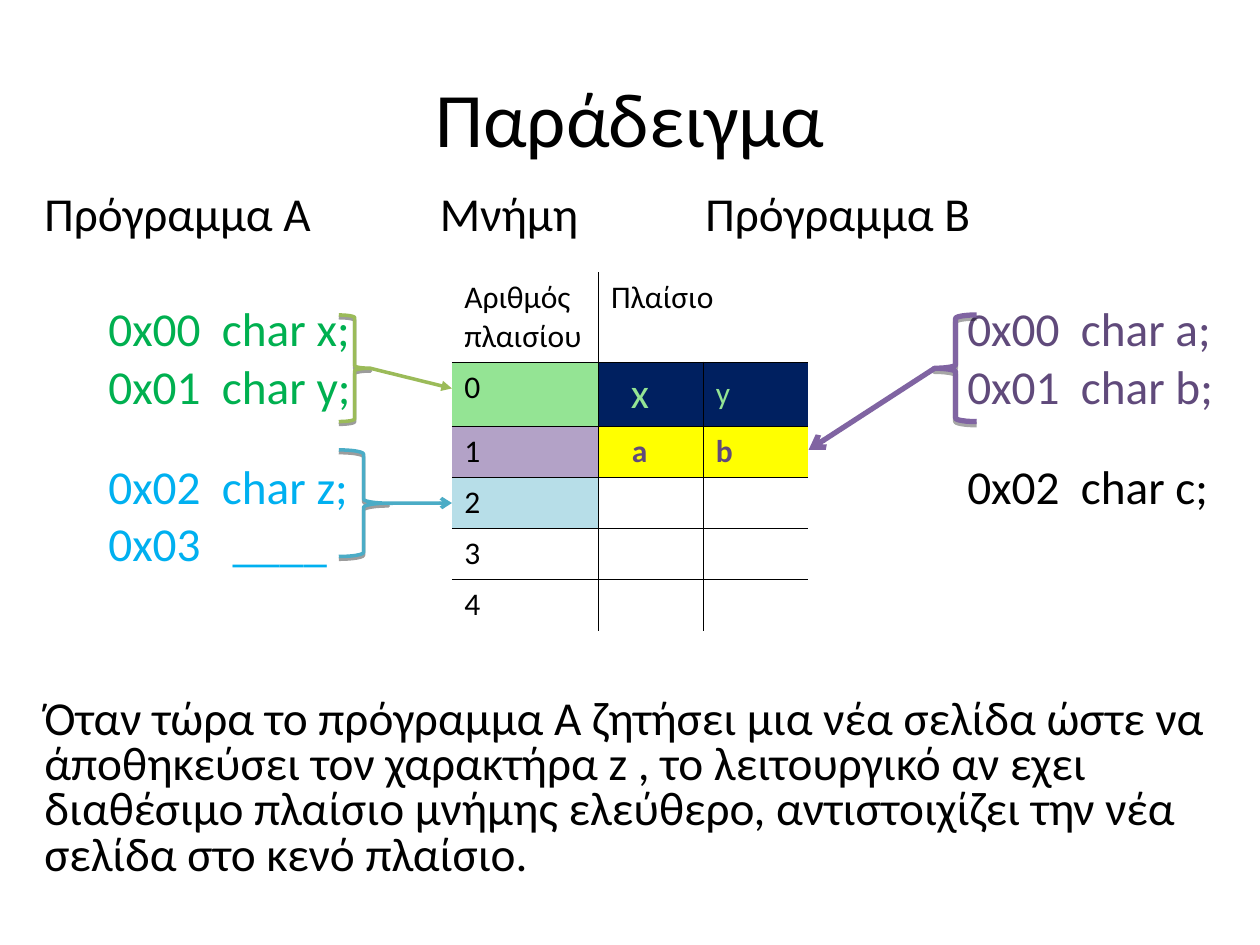
import pptx
import pptx.dml.color
import pptx.enum.shapes
import pptx.enum.text
import pptx.oxml
import pptx.oxml.ns
import pptx.util
from lxml import etree

Cm, Pt = pptx.util.Cm, pptx.util.Pt
SHAPE = pptx.enum.shapes.MSO_SHAPE
ALIGN = pptx.enum.text.PP_ALIGN
ANCHOR = pptx.enum.text.MSO_ANCHOR
qn = pptx.oxml.ns.qn

THEME = {
    "font": "Calibri",
    "title": 44, "body": 27, "cell": 18, "cell_large": 24,
    "black": "000000", "green": "00B050", "cyan": "00B0F0", "purple": "604A7B",
    "mint": "94E494", "navy": "002060", "lilac": "B3A2C7", "yellow": "FFFF00",
    "ice": "B7DEE8", "olive_line": "9BBB59", "purple_line": "8064A2",
    "aqua_line": "4BACC6",
}

TITLE = "Παράδειγμα"
# space before in points, indent in cm, text, colour
FIRST_GAP, LINE_GAP, PAGE_GAP, CLOSING_GAP = 40, 6.8, 31.4, 73
A_INDENT, B_INDENT = 1.29, 5.28
PROGRAM_A = [
    (0, 0, "Πρόγραμμα Α", "black"),
    (FIRST_GAP, A_INDENT, "0x00  char x;", "green"),
    (LINE_GAP, A_INDENT, "0x01  char y;", "green"),
    (PAGE_GAP, A_INDENT, "0x02  char z;", "cyan"),
    (LINE_GAP, A_INDENT, "0x03   ____", "cyan"),
    (CLOSING_GAP, 0,
     "Όταν τώρα το πρόγραμμα Α ζητήσει μια νέα σελίδα ώστε να άποθηκεύσει τον "
     "χαρακτήρα z , το λειτουργικό αν εχει διαθέσιμο πλαίσιο μνήμης ελεύθερο, "
     "αντιστοιχίζει την νέα σελίδα στο κενό πλαίσιο.", "black"),
]
MEMORY_HEADING = [(0, 0, "Μνήμη", "black")]
PROGRAM_B = [
    (0, 0, "Πρόγραμμα Β", "black"),
    (FIRST_GAP, B_INDENT, "0x00  char a;", "purple"),
    (LINE_GAP, B_INDENT, "0x01  char b;", "purple"),
    (PAGE_GAP, B_INDENT, "0x02  char c;", "black"),
]
TEXT_TOP = 3.81
PROGRAM_A_BOX = (0.64, TEXT_TOP, 24.33, 14.6)
MEMORY_HEADING_BOX = (8.62, TEXT_TOP, 4, 1.3)
PROGRAM_B_BOX = (13.97, TEXT_TOP, 11.1, 7)

MEMORY = [
    ["Αριθμός πλαισίου", "Πλαίσιο", ""],
    ["0", "x", "y"],
    ["1", "a", "b"],
    ["2", "", ""],
    ["3", "", ""],
    ["4", "", ""],
]
COLUMN_WIDTHS = (2.96, 2.11, 2.11)
ROW_HEIGHTS = (1.8, 1.3, 1.03, 1.03, 1.03, 1.03)
MEMORY_LEFT, MEMORY_TOP = 9.11, 5.49
NAVY_CELL = {"fill": "navy", "color": "mint", "anchor": ANCHOR.MIDDLE}
YELLOW_CELL = {"fill": "yellow", "color": "purple", "bold": True}
CELL_FORMATS = {
    (1, 0): {"fill": "mint"},
    (1, 1): {**NAVY_CELL, "size": "cell_large", "left": 0.65},
    (1, 2): NAVY_CELL,
    (2, 0): {"fill": "lilac"},
    (2, 1): {**YELLOW_CELL, "left": 0.67},
    (2, 2): YELLOW_CELL,
    (3, 0): {"fill": "ice"},
}

# brace, its box, arrow end, colour, line width, arrowhead, shadow (opacity %, distance)
MAPPINGS = [
    (SHAPE.RIGHT_BRACE, (6.83, 6.35, 0.64, 2.15), (MEMORY_LEFT, 7.83),
     "olive_line", 2, "triangle", (38, 1.6)),
    (SHAPE.LEFT_BRACE, (18.84, 6.35, 0.85, 2.15), (16.3, 9.07),
     "purple_line", 3, "arrow", (35, 1.8)),
    (SHAPE.RIGHT_BRACE, (6.83, 9.07, 1, 2.15), (MEMORY_LEFT, 10.14),
     "aqua_line", 2, "arrow", (38, 1.6)),
]


def rgb(name):
    return pptx.dml.color.RGBColor.from_string(THEME[name])


def assign(target, values):
    for attribute, value in values.items():
        setattr(target, attribute, value)


def style_font(font, size, color, bold=False):
    assign(font, {"name": THEME["font"], "size": Pt(THEME[size]), "bold": bold})
    font.color.rgb = rgb(color)


def place(holder, left, top, width, height):
    assign(holder, {"left": Cm(left), "top": Cm(top),
                    "width": Cm(width), "height": Cm(height)})
    assign(holder.text_frame, {"word_wrap": True,
                               "auto_size": pptx.enum.text.MSO_AUTO_SIZE.NONE})


def add_title(slide):
    title = slide.shapes.title
    place(title, 1.27, 0.76, 22.86, 3.18)
    title.text_frame.vertical_anchor = ANCHOR.MIDDLE
    heading = title.text_frame.paragraphs[0]
    heading.alignment = ALIGN.CENTER
    heading.text = TITLE
    style_font(heading.runs[0].font, "title", "black")


def write_lines(holder, box, lines):
    place(holder, *box)
    frame = holder.text_frame
    for index, (space, indent, text, color) in enumerate(lines):
        line = frame.add_paragraph() if index else frame.paragraphs[0]
        properties = line._p.get_or_add_pPr()
        properties.set("marL", str(int(Cm(indent))))
        properties.set("indent", "0")
        etree.SubElement(properties, qn("a:buNone"))
        assign(line, {"line_spacing": 0.8, "space_before": Pt(space),
                      "space_after": Pt(0), "alignment": ALIGN.LEFT})
        run = line.add_run()
        run.text = text
        style_font(run.font, "body", color)


def add_programs(slide):
    write_lines(slide.placeholders[1], PROGRAM_A_BOX, PROGRAM_A)
    for box, lines in ((MEMORY_HEADING_BOX, MEMORY_HEADING),
                       (PROGRAM_B_BOX, PROGRAM_B)):
        write_lines(slide.shapes.add_textbox(*map(Cm, box)), box, lines)


def set_borders(cell, visible):
    """Draw the named edges (L, R, T, B) and hide the others."""
    properties = cell._tc.get_or_add_tcPr()
    for position, edge in enumerate("LRTB"):
        border = etree.Element(qn(f"a:ln{edge}"), w=str(int(Pt(0.45))))
        if edge in visible:
            fill = etree.SubElement(border, qn("a:solidFill"))
            etree.SubElement(fill, qn("a:srgbClr"), val=THEME["black"])
        else:
            etree.SubElement(border, qn("a:noFill"))
        properties.insert(position, border)


def add_memory(slide):
    rows, columns = len(ROW_HEIGHTS), len(COLUMN_WIDTHS)
    memory = slide.shapes.add_table(
        rows, columns, Cm(MEMORY_LEFT), Cm(MEMORY_TOP),
        Cm(sum(COLUMN_WIDTHS)), Cm(sum(ROW_HEIGHTS))).table
    assign(memory, {"first_row": False, "horz_banding": False})
    for column, width in zip(memory.columns, COLUMN_WIDTHS):
        column.width = Cm(width)
    for row, height in zip(memory.rows, ROW_HEIGHTS):
        row.height = Cm(height)
    memory.cell(0, 1).merge(memory.cell(0, 2))
    for r, texts in enumerate(MEMORY):
        for c, text in enumerate(texts):
            cell = memory.cell(r, c)
            look = CELL_FORMATS.get((r, c), {})
            assign(cell, {"margin_left": Cm(look.get("left", 0.25)),
                          "vertical_anchor": look.get("anchor", ANCHOR.TOP)})
            if "fill" in look:
                cell.fill.solid()
                cell.fill.fore_color.rgb = rgb(look["fill"])
            else:
                cell.fill.background()
            inner = {"L": c > 0, "R": c < columns - 1, "T": r > 0, "B": r < rows - 1}
            if r == 0:
                inner.update(L=c == 1, R=c == 0)
            set_borders(cell, [edge for edge, shown in inner.items() if shown])
            entry = cell.text_frame.paragraphs[0]
            style_font(entry.font, "cell", "black")
            if text:
                run = entry.add_run()
                run.text = text
                style_font(run.font, look.get("size", "cell"),
                           look.get("color", "black"), look.get("bold", False))


def add_mapping(slide, kind, box, end, color, width, head, shadow):
    left, top, across, down = box
    brace = slide.shapes.add_shape(kind, *map(Cm, box))
    brace.shadow.inherit = False
    brace.fill.background()
    opacity, distance = shadow
    effects = brace._element.spPr.find(qn("a:effectLst"))
    outer = etree.SubElement(effects, qn("a:outerShdw"), blurRad="0",
                             dist=str(int(Pt(distance))), dir="5400000", rotWithShape="0")
    tint = etree.SubElement(outer, qn("a:srgbClr"), val=THEME["black"])
    etree.SubElement(tint, qn("a:alpha"), val=str(opacity * 1000))

    tip = (left + across if kind == SHAPE.RIGHT_BRACE else left, top + down / 2)
    arrow = slide.shapes.add_connector(
        pptx.enum.shapes.MSO_CONNECTOR.STRAIGHT, *map(Cm, tip + end))
    for part in (brace, arrow):
        part.line.color.rgb = rgb(color)
        part.line.width = Pt(width)
    etree.SubElement(arrow.line._get_or_add_ln(), qn("a:tailEnd"), type=head)
    etree.SubElement(arrow._element.spPr, qn("a:effectLst"))


def main():
    deck = pptx.Presentation()
    assign(deck, {"slide_width": Cm(25.4), "slide_height": Cm(19.05)})
    slide = deck.slides.add_slide(deck.slide_layouts[1])
    add_title(slide)
    add_programs(slide)
    add_memory(slide)
    for mapping in MAPPINGS:
        add_mapping(slide, *mapping)
    deck.save("out.pptx")


if __name__ == "__main__":
    main()
